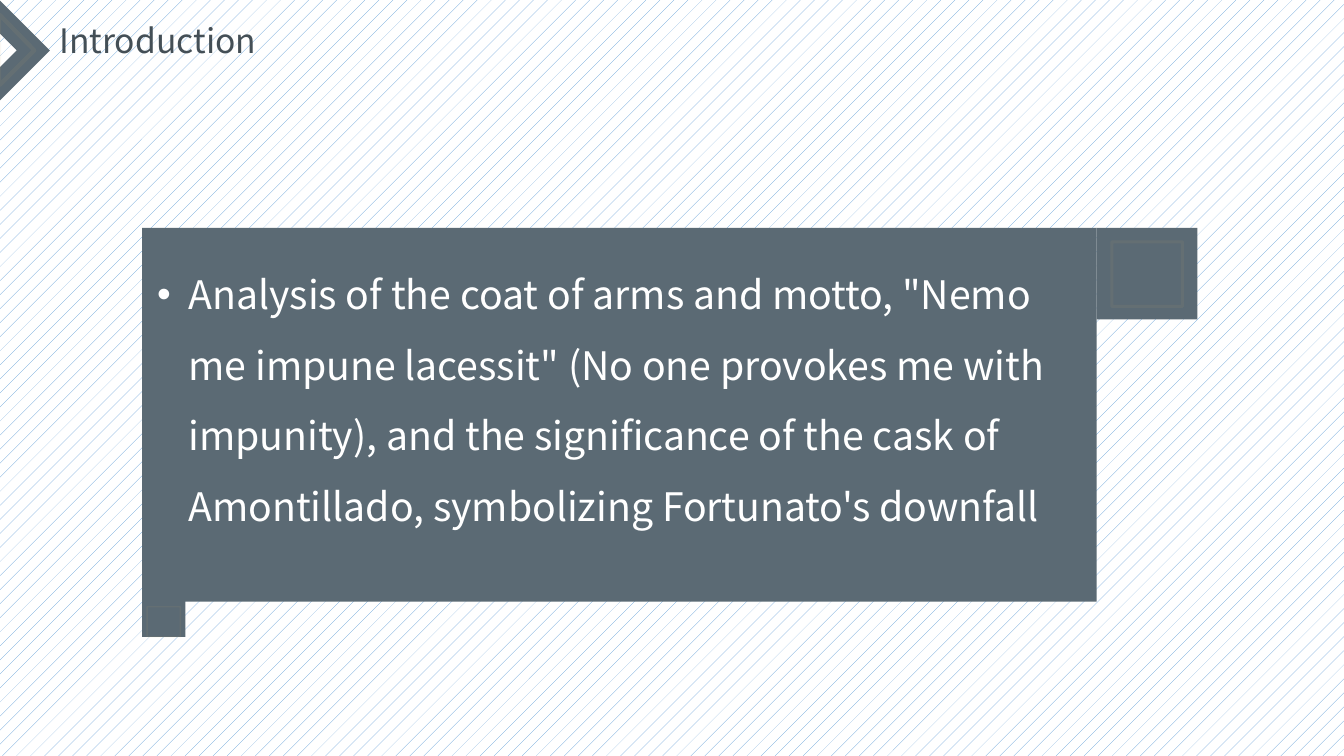
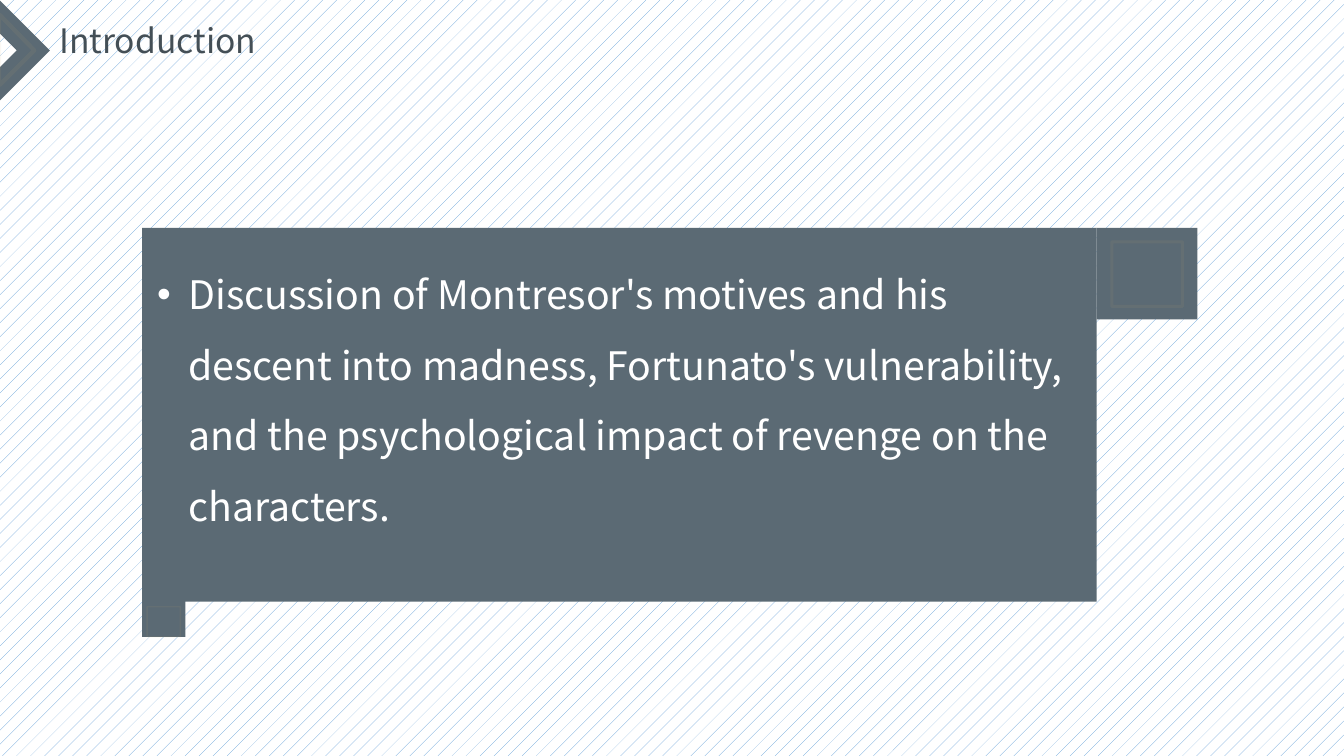
"""Build two introduction slides with a shared header and text panel."""
from dataclasses import dataclass
from typing import Optional

import lxml.etree
import pptx
import pptx.dml.color
import pptx.enum.dml
import pptx.enum.shapes
import pptx.enum.text
import pptx.oxml.ns
import pptx.shapes.autoshape
import pptx.shapes.base
import pptx.slide
import pptx.util

Pt = pptx.util.Pt
RGB = pptx.dml.color.RGBColor
SHAPE = pptx.enum.shapes.MSO_SHAPE
qn = pptx.oxml.ns.qn


@dataclass(frozen=True)
class Theme:
    slate: RGB = RGB(0x5B, 0x6A, 0x74)
    gold: RGB = RGB(0xD7, 0xB2, 0x6C)
    heading: RGB = RGB(0x44, 0x4F, 0x56)
    white: RGB = RGB(0xFF, 0xFF, 0xFF)
    hatch: RGB = RGB(0x5B, 0x9B, 0xD5)
    font: str = "Noto Sans CJK SC"
    title_size: float = 24
    body_size: float = 28
    line_opacity: int = 8


@dataclass(frozen=True)
class Box:
    left: float
    top: float
    width: float
    height: float

    def lengths(self) -> tuple:
        return Pt(self.left), Pt(self.top), Pt(self.width), Pt(self.height)


@dataclass(frozen=True)
class Block:
    box: Box
    line: Optional[float] = None
    shape: SHAPE = SHAPE.RECTANGLE
    rotation: float = 0


THEME = Theme()
LEFT, TOP, PANEL_W = 101.5, 162.7, 681.9
CHEVRON = Block(Box(-25.2, 10.8, 50.4, 50.4), shape=SHAPE.HALF_FRAME, rotation=135)
ARROW_POINTS = [(0, 10.8), (24.5, 36), (0, 60.5), (-0.7, 59.8), (-0.7, 11.5)]
ARROW_LINE = 3
TITLE_BOX = Box(35.3, 10.8, 196.6, 36)
BODY_BOX = Box(105.1, 172.8, 661.7, 182.2)
INDENT = 22.5
PANEL = Block(Box(LEFT, TOP, PANEL_W, 267.1))
CORNERS = [
    Block(Box(LEFT + PANEL_W, TOP, 72, 65.5)),
    Block(Box(LEFT, 424.8, 31, 30.2)),
    Block(Box(794.2, 172.8, 50.4, 46.1), line=2.25),
    Block(Box(105.1, 433.4, 23.8, 21.6), line=1),
]
TITLE = "Introduction"
BODIES = [
    'Analysis of the coat of arms and motto, "Nemo me impune lacessit" '
    "(No one provokes me with impunity), and the significance of the cask of "
    "Amontillado, symbolizing Fortunato's downfall",
    "Discussion of Montresor's motives and his descent into madness, "
    "Fortunato's vulnerability, and the psychological impact of revenge on the "
    "characters.",
]


def style_outline(sp: pptx.shapes.autoshape.Shape, width: float) -> None:
    sp.shadow.inherit = False
    sp.fill.background()
    sp.line.width = Pt(width)
    sp.line.color.rgb = THEME.gold
    color = sp.line._get_or_add_ln().find(qn("a:solidFill"))[0]
    alpha = lxml.etree.SubElement(color, qn("a:alpha"))
    alpha.set("val", str(THEME.line_opacity * 1000))


def add_block(s: pptx.slide.Slide, block: Block) -> None:
    sp = s.shapes.add_shape(block.shape, *block.box.lengths())
    sp.rotation = block.rotation
    if block.line:
        style_outline(sp, block.line)
        return
    sp.shadow.inherit = False
    sp.fill.solid()
    sp.fill.fore_color.rgb = THEME.slate
    sp.line.fill.background()


def add_arrow(s: pptx.slide.Slide) -> None:
    points = [(Pt(x), Pt(y)) for x, y in ARROW_POINTS]
    builder = s.shapes.build_freeform(*points[0])
    builder.add_line_segments(points[1:], close=True)
    style_outline(builder.convert_to_shape(), ARROW_LINE)


def add_text(s: pptx.slide.Slide, box: Box, text: str, size: float,
             color: RGB, bullet: bool = False) -> None:
    tf = s.shapes.add_textbox(*box.lengths()).text_frame
    tf.word_wrap = True
    p = tf.paragraphs[0]
    if bullet:
        p.line_spacing = 1.5
        props = p._p.get_or_add_pPr()
        props.set("marL", str(Pt(INDENT)))
        props.set("indent", str(-Pt(INDENT)))
        font = lxml.etree.SubElement(props, qn("a:buFont"))
        font.set("typeface", "Arial")
        lxml.etree.SubElement(props, qn("a:buChar")).set("char", "•")
    else:
        tf.auto_size = pptx.enum.text.MSO_AUTO_SIZE.SHAPE_TO_FIT_TEXT
    r = p.add_run()
    r.text = text
    r.font.name = THEME.font
    r.font.size = Pt(size)
    r.font.color.rgb = color


def set_background(prs) -> None:
    fill = prs.slide_master.background.fill
    fill.patterned()
    fill.pattern = pptx.enum.dml.MSO_PATTERN.PERCENT_5
    fill.fore_color.rgb = THEME.hatch
    fill.back_color.rgb = THEME.white


def add_slide(prs, body: str) -> None:
    s = prs.slides.add_slide(prs.slide_layouts[6])
    add_block(s, CHEVRON)
    add_arrow(s)
    add_text(s, TITLE_BOX, TITLE, THEME.title_size, THEME.heading)
    add_block(s, PANEL)
    add_text(s, BODY_BOX, body, THEME.body_size, THEME.white, bullet=True)
    for corner in CORNERS:
        add_block(s, corner)


def main() -> None:
    prs = pptx.Presentation()
    prs.slide_width, prs.slide_height = Pt(960), Pt(540)
    set_background(prs)
    for body in BODIES:
        add_slide(prs, body)
    prs.save("out.pptx")


if __name__ == "__main__":
    main()
